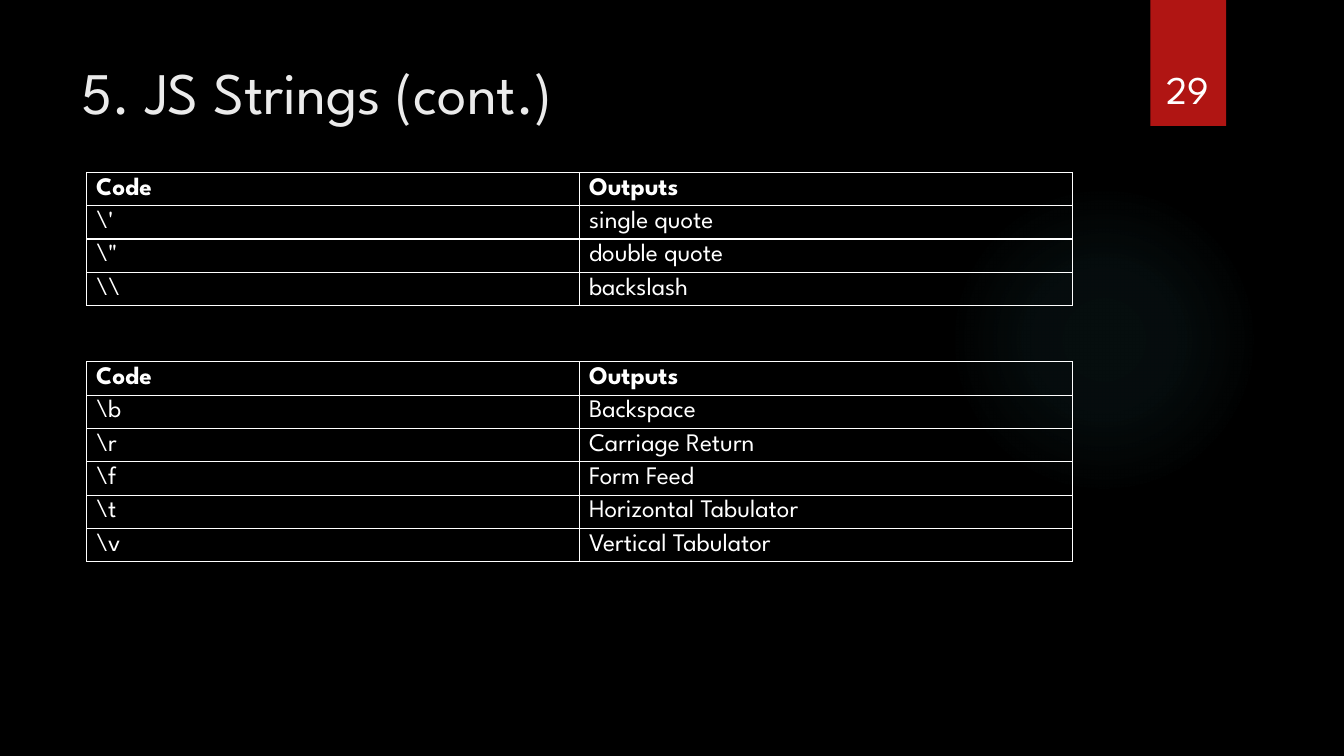
from dataclasses import dataclass

from pptx import Presentation
from pptx.dml.color import RGBColor
from pptx.enum.shapes import MSO_SHAPE
from pptx.enum.text import MSO_ANCHOR, PP_ALIGN
from pptx.oxml import parse_xml
from pptx.oxml.ns import nsdecls, qn
from pptx.shapes.autoshape import Shape
from pptx.slide import Slide
from pptx.table import _Cell
from pptx.text.text import _Paragraph
from pptx.util import Inches, Length, Pt

SLIDE_WIDTH = Inches(13.33)
SLIDE_HEIGHT = Inches(7.5)
FONT = "League Spartan"
BLACK = RGBColor(0x00, 0x00, 0x00)
WHITE = RGBColor(0xFF, 0xFF, 0xFF)
PALE_GREY = RGBColor(0xEB, 0xEB, 0xEB)
RED = RGBColor(0xB0, 0x15, 0x13)
TEAL = RGBColor(0x50, 0xB9, 0xC1)
GLOW_STOPS = ((0, 7), (36, 6), (69, 0))
ROW_SHARE = 4.41
CELL_INSET = 0.7
TABLE_LEFT = 6.45
TABLE_WIDTH = 73.37
HEADINGS = ("Code", "Outputs")


@dataclass(frozen=True)
class Area:
    """Position and size in percent of the slide."""

    left: float
    top: float
    width: float
    height: float

    def lengths(self) -> tuple[Length, Length, Length, Length]:
        return across(self.left), down(self.top), across(self.width), down(self.height)


@dataclass(frozen=True)
class Label:
    text: str
    area: Area
    size: float
    color: RGBColor
    anchor: MSO_ANCHOR
    align: PP_ALIGN


@dataclass(frozen=True)
class EscapeTable:
    top: float
    rows: tuple[tuple[str, str], ...]


LABELS = (
    Label("5. JS Strings (cont.)", Area(5.33, 6.67, 77.19, 20.4), 42, PALE_GREY,
          MSO_ANCHOR.TOP, PP_ALIGN.LEFT),
    Label("29", Area(84.92, 4.27, 6.9, 11.2), 28, WHITE,
          MSO_ANCHOR.BOTTOM, PP_ALIGN.CENTER),
)

TABLES = (
    EscapeTable(22.8, (
        (r"\'", "single quote"),
        (r"\"", "double quote"),
        ("\\\\", "backslash"),
    )),
    EscapeTable(47.87, (
        (r"\b", "Backspace"),
        (r"\r", "Carriage Return"),
        (r"\f", "Form Feed"),
        (r"\t", "Horizontal Tabulator"),
        (r"\v", "Vertical Tabulator"),
    )),
)


def across(share: float) -> Length:
    return Length(round(SLIDE_WIDTH * share / 100))


def down(share: float) -> Length:
    return Length(round(SLIDE_HEIGHT * share / 100))


def add_span(para: _Paragraph, text: str, size: float, color: RGBColor,
             bold: bool = False) -> None:
    span = para.add_run()
    span.text = text
    span.font.name = FONT
    span.font.size = Pt(size)
    span.font.bold = bold
    span.font.color.rgb = color


def add_plain_shape(page: Slide, kind: MSO_SHAPE, area: Area) -> Shape:
    shape = page.shapes.add_shape(kind, *area.lengths())
    shape.shadow.inherit = False
    shape.line.fill.background()
    return shape


def add_glow(page: Slide, area: Area) -> None:
    glow = add_plain_shape(page, MSO_SHAPE.OVAL, area)
    glow.fill.background()
    stops = "".join(
        f'<a:gs pos="{place * 1000}"><a:srgbClr val="{TEAL}">'
        f'<a:alpha val="{opacity * 1000}"/></a:srgbClr></a:gs>'
        for place, opacity in GLOW_STOPS
    )
    gradient = parse_xml(
        f'<a:gradFill {nsdecls("a")} rotWithShape="1"><a:gsLst>{stops}</a:gsLst>'
        '<a:path path="circle"><a:fillToRect l="50000" t="50000" r="50000" b="50000"/>'
        "</a:path></a:gradFill>"
    )
    properties = glow.element.spPr
    properties.replace(properties.find(qn("a:noFill")), gradient)


def add_ribbon(page: Slide, area: Area) -> None:
    ribbon = add_plain_shape(page, MSO_SHAPE.RECTANGLE, area)
    ribbon.fill.solid()
    ribbon.fill.fore_color.rgb = RED


def add_label(page: Slide, label: Label) -> None:
    box = page.shapes.add_textbox(*label.area.lengths())
    frame = box.text_frame
    frame.word_wrap = True
    frame.vertical_anchor = label.anchor
    para = frame.paragraphs[0]
    para.alignment = label.align
    add_span(para, label.text, label.size, label.color)


def add_borders(cell: _Cell) -> None:
    properties = cell._tc.get_or_add_tcPr()
    for index, side in enumerate("LRTB"):
        properties.insert(index, parse_xml(
            f'<a:ln{side} {nsdecls("a")} w="{Pt(1)}"><a:solidFill>'
            f'<a:srgbClr val="{WHITE}"/></a:solidFill></a:ln{side}>'
        ))


def add_escape_table(page: Slide, escapes: EscapeTable) -> None:
    lines = (HEADINGS, *escapes.rows)
    area = Area(TABLE_LEFT, escapes.top, TABLE_WIDTH, ROW_SHARE * len(lines))
    table = page.shapes.add_table(len(lines), len(HEADINGS), *area.lengths()).table
    table.first_row = False
    table.horz_banding = False
    for row, line in enumerate(lines):
        for column, text in enumerate(line):
            cell = table.cell(row, column)
            cell.fill.background()
            cell.vertical_anchor = MSO_ANCHOR.MIDDLE
            cell.margin_left = cell.margin_right = across(CELL_INSET)
            cell.margin_top = cell.margin_bottom = 0
            add_borders(cell)
            add_span(cell.text_frame.paragraphs[0], text, 18, WHITE, bold=row == 0)


def main() -> None:
    deck = Presentation()
    deck.slide_width = SLIDE_WIDTH
    deck.slide_height = SLIDE_HEIGHT
    page = deck.slides.add_slide(deck.slide_layouts[6])
    page.background.fill.solid()
    page.background.fill.fore_color.rgb = BLACK
    add_glow(page, Area(70.59, 24.4, 23.11, 41.07))
    add_ribbon(page, Area(85.6, 0, 5.63, 16.67))
    for label in LABELS:
        add_label(page, label)
    for escapes in TABLES:
        add_escape_table(page, escapes)
    deck.save("out.pptx")


if __name__ == "__main__":
    main()
